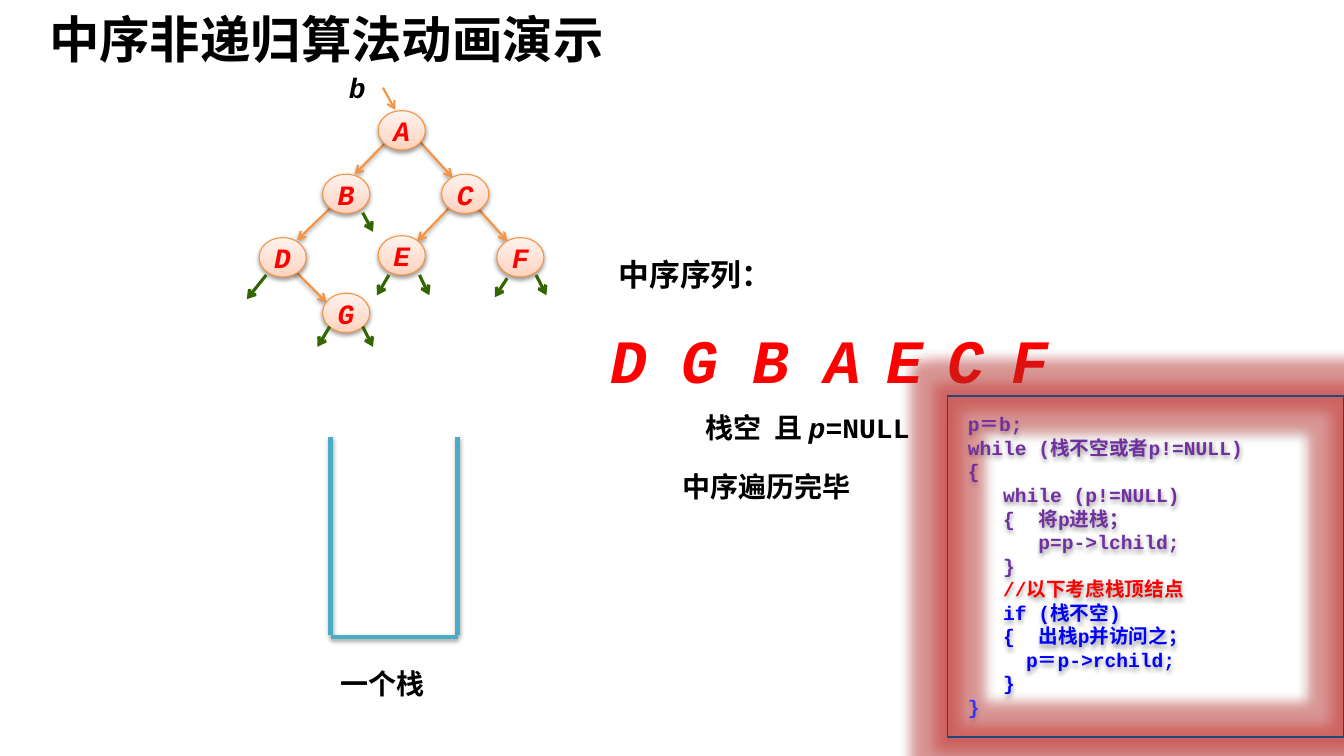
from lxml import etree
from pptx import Presentation
from pptx import oxml
from pptx import util as u
from pptx.dml import color
from pptx.enum import shapes, text
from pptx.oxml import ns

COLORS = {
    "black": "000000", "red": "FF0000", "orange": "F69240", "green": "336600",
    "teal": "4BACC6", "navy": "1F497D", "purple": "7030A0", "blue": "0000FF",
    "violet": "3333FF", "glow": "D8322E",
}
NODE_STOPS = [(0, "FFD2BD"), (35, "FFDED0"), (100, "FFF2ED")]
MONO, CJK = "Courier New", "Noto Sans CJK SC"
NODE_W, NODE_H = 1.19, 0.99
CODE_STEP = 0.89

NODES = {
    "A": (9.53, 2.79), "B": (8.13, 4.39), "C": (11.13, 4.39), "D": (6.53, 5.99),
    "E": (9.53, 5.94), "G": (8.13, 7.39), "F": (12.52, 5.99),
}
CHILD_LINKS = [
    (7.42, 6.81, 8.23, 7.62), (9.73, 3.58, 8.94, 4.39), (10.59, 3.58, 11.4, 4.47),
    (8.41, 5.16, 7.49, 6.05), (11.3, 5.26, 10.52, 6.07), (11.96, 5.16, 12.78, 6.07),
]
NULL_LINKS = [
    (9.14, 8.23, 9.4, 8.74), (8.31, 8.23, 8, 8.74), (10.57, 6.93, 10.82, 7.44),
    (9.8, 6.93, 9.5, 7.44), (13.51, 6.93, 13.77, 7.44), (12.78, 7.01, 12.47, 7.49),
    (6.71, 6.93, 6.22, 7.54), (9.14, 5.36, 9.4, 5.84),
]
STACK_WALLS = [
    (8.33, 11, 8.33, 16), (11.53, 11, 11.53, 16), (8.33, 16.05, 11.53, 16.05),
]
SEQUENCE = zip("DGBAECF", (15.39, 17.17, 18.97, 20.78, 22.33, 23.88, 25.48))
CODE = [
    (0, "purple", "p＝b;"),
    (0, "purple", "while (栈不空或者p!=NULL)"),
    (0, "purple", "{"),
    (1, "purple", "while (p!=NULL)"),
    (1, "purple", "{  将p进栈；"),
    (2, "purple", "p=p->lchild;"),
    (1, "purple", "}"),
    (1, "red", "//以下考虑栈顶结点"),
    (1, "blue", "if (栈不空)"),
    (1, "blue", "{  出栈p并访问之；"),
    (1.65, "blue", "p＝p->rchild;"),
    (1, "blue", "}"),
    (0, "violet", "}"),
]


def rgb(name):
    """Return the named colour."""
    return color.RGBColor.from_string(COLORS[name])


def add_run(paragraph, words, size, ink="black", italic=False, face=MONO):
    """Add one bold run."""
    run = paragraph.add_run()
    run.text = words
    font = run.font
    font.name, font.size, font.bold, font.italic = face, u.Pt(size), True, italic
    font.color.rgb = rgb(ink)
    latin = run._r.rPr.find(ns.qn("a:latin"))
    latin.addnext(oxml.parse_xml(f'<a:ea {ns.nsdecls("a")} typeface="{CJK}"/>'))


def set_effects(shape, shadow=False, glow=False):
    """Replace the theme effects by the given ones."""
    properties = shape._element.spPr
    effects = properties.find(ns.qn("a:effectLst"))
    if effects is None:
        effects = etree.SubElement(properties, ns.qn("a:effectLst"))
    if glow:
        effects.append(oxml.parse_xml(
            f'<a:glow {ns.nsdecls("a")} rad="228600"><a:srgbClr val="{COLORS["glow"]}">'
            '<a:alpha val="40000"/></a:srgbClr></a:glow>'))
    if shadow:
        effects.append(oxml.parse_xml(
            f'<a:outerShdw {ns.nsdecls("a")} blurRad="40000" dist="20000" dir="5400000" '
            f'rotWithShape="0"><a:srgbClr val="{COLORS["black"]}">'
            '<a:alpha val="38000"/></a:srgbClr></a:outerShdw>'))


def add_line(slide, ends, ink, width, arrow=True, shadow=False):
    """Draw a straight line, with an arrowhead if wanted."""
    line = slide.shapes.add_connector(
        shapes.MSO_CONNECTOR.STRAIGHT, *[u.Cm(end) for end in ends])
    line.line.color.rgb = rgb(ink)
    line.line.width = u.Pt(width)
    if arrow:
        outline = line._element.spPr.find(ns.qn("a:ln"))
        etree.SubElement(outline, ns.qn("a:tailEnd"), type="arrow")
    set_effects(line, shadow)


def add_label(slide, box, runs, margin=True):
    """Add a text box from (words, size, ink, italic, face) runs."""
    label = slide.shapes.add_textbox(*[u.Cm(length) for length in box])
    frame = label.text_frame
    frame.word_wrap = True
    frame.auto_size = text.MSO_AUTO_SIZE.SHAPE_TO_FIT_TEXT
    if not margin:
        frame.margin_left = frame.margin_right = u.Cm(0)
        frame.margin_top = frame.margin_bottom = u.Cm(0)
    for run in runs:
        add_run(frame.paragraphs[0], *run)


def add_node(slide, letter, left, top):
    """Draw one tree node."""
    node = slide.shapes.add_shape(
        shapes.MSO_SHAPE.OVAL, u.Cm(left), u.Cm(top), u.Cm(NODE_W), u.Cm(NODE_H))
    stops = "".join(f'<a:gs pos="{pos * 1000}"><a:srgbClr val="{tint}"/></a:gs>'
                    for pos, tint in NODE_STOPS)
    node._element.spPr.find(ns.qn("a:prstGeom")).addnext(oxml.parse_xml(
        f'<a:gradFill {ns.nsdecls("a")} rotWithShape="1"><a:gsLst>{stops}</a:gsLst>'
        '<a:lin ang="16200000" scaled="1"/></a:gradFill>'))
    node.line.color.rgb = rgb("orange")
    node.line.width = u.Pt(0.75)
    node.shadow.inherit = False
    set_effects(node, shadow=True)
    frame = node.text_frame
    frame.word_wrap = False
    frame.vertical_anchor = text.MSO_ANCHOR.MIDDLE
    frame.paragraphs[0].alignment = text.PP_ALIGN.CENTER
    add_run(frame.paragraphs[0], letter, 20, "red", True)


def add_code(slide):
    """Draw the glowing panel with the algorithm."""
    panel = slide.shapes.add_shape(
        shapes.MSO_SHAPE.RECTANGLE, u.Cm(23.88), u.Cm(9.98), u.Cm(9.98), u.Cm(8.59))
    panel.fill.background()
    panel.line.color.rgb = rgb("navy")
    panel.line.width = u.Pt(1)
    panel.shadow.inherit = False
    set_effects(panel, shadow=True, glow=True)
    frame = panel.text_frame
    frame.word_wrap = True
    frame.vertical_anchor = text.MSO_ANCHOR.TOP
    frame.margin_left, frame.margin_right = u.Cm(0.51), u.Cm(0.25)
    frame.margin_top = frame.margin_bottom = u.Cm(0.41)
    for index, (depth, ink, words) in enumerate(CODE):
        row = frame.add_paragraph() if index else frame.paragraphs[0]
        row.alignment = text.PP_ALIGN.LEFT
        row._p.get_or_add_pPr().set("marL", str(u.Cm(depth * CODE_STEP)))
        add_run(row, words, 14, ink)


def main():
    """Build the slide and save it."""
    deck = Presentation()
    deck.slide_width, deck.slide_height = u.Cm(33.87), u.Cm(19.05)
    slide = deck.slides.add_slide(deck.slide_layouts[6])

    add_label(slide, (0.99, 0.08, 21.87, 2.13),
              [("中序非递归算法动画演示", 36, "black", False, CJK)])
    for ends in CHILD_LINKS:
        add_line(slide, ends, "orange", 1.5, shadow=True)
    for letter, place in NODES.items():
        add_node(slide, letter, *place)
    for ends in NULL_LINKS:
        add_line(slide, ends, "green", 2.25)
    add_line(slide, (9.65, 2.21, 9.96, 2.77), "orange", 1.5)
    add_label(slide, (8.79, 1.78, 0.99, 0.86), [("b", 20, "black", True)], margin=False)

    for ends in STACK_WALLS:
        add_line(slide, ends, "teal", 3, arrow=False, shadow=True)
    add_label(slide, (8.33, 16.66, 3.2, 1.12), [("一个栈", 20)])

    add_label(slide, (15.34, 6.32, 4.8, 1.19), [("中序序列：", 22)])
    for letter, left in SEQUENCE:
        add_label(slide, (left, 8.1, 1.19, 1.88), [(letter, 44, "red", True)], margin=False)
    add_label(slide, (17.53, 10.21, 6.35, 1.12),
              [("栈空  且 ", 20), ("p", 20, "black", True), ("=NULL", 20)])
    add_label(slide, (16.94, 11.71, 7.59, 1.12), [("中序遍历完毕", 20)])
    add_code(slide)
    deck.save("out.pptx")


if __name__ == "__main__":
    main()
